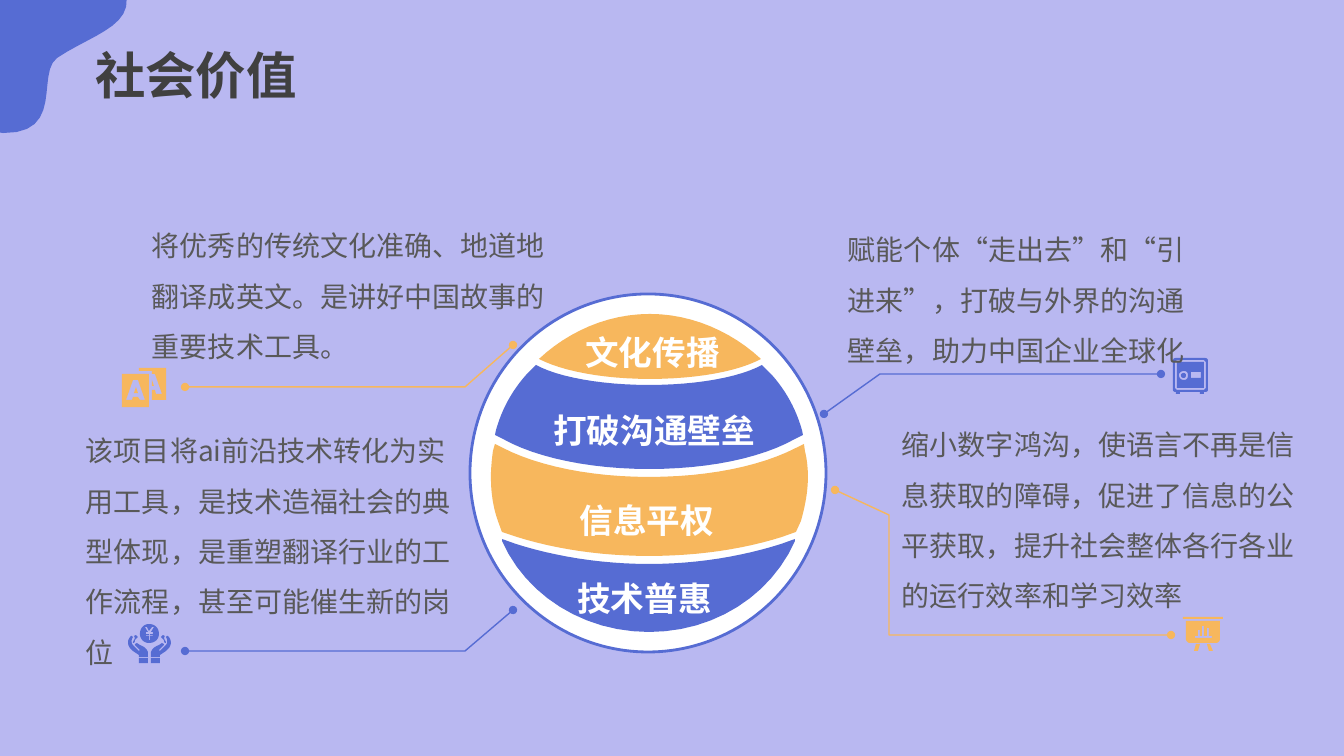
from lxml.etree import SubElement
from pptx import Presentation
from pptx.dml.color import RGBColor
from pptx.enum.lang import MSO_LANGUAGE_ID
from pptx.enum.shapes import MSO_SHAPE
from pptx.enum.text import MSO_ANCHOR, MSO_AUTO_SIZE, PP_ALIGN
from pptx.oxml.ns import qn
from pptx.util import Pt

# Content: boxes are left, top, width, height in px
FONT = "Noto Sans CJK SC"
COLORS = {"lilac": "B9B8F1", "blue": "566CD3", "amber": "F7B75D",
          "white": "FFFFFF", "title": "404040", "body": "595959"}
TITLE = ("社会价值", (95, 42, 280, 65))
NOTES = [
    ("赋能个体“走出去”和“引进来”，打破与外界的沟通壁垒，助力中国企业全球化",
     (838, 211, 370, 167)),
    ("缩小数字鸿沟，使语言不再是信息获取的障碍，促进了信息的公平获取，"
     "提升社会整体各行各业的运行效率和学习效率", (892, 406, 424, 171)),
    ("该项目将ai前沿技术转化为实用工具，是技术造福社会的典型体现，"
     "是重塑翻译行业的工作流程，甚至可能催生新的岗位", (76, 412, 398, 226)),
    ("将优秀的传统文化准确、地道地翻译成英文。是讲好中国故事的重要技术工具。",
     (142, 207, 423, 115)),
]
LABELS = [("文化传播", (565, 327, 175, 50)), ("打破沟通壁垒", (530, 405, 248, 50)),
          ("信息平权", (565, 495, 164, 50)), ("技术普惠", (565, 573, 159, 50))]
GLOBE = (470, 294, 356, 358)
LEADERS = [
    ("amber", "M 513 345 L 465 387 L 185 387"),
    ("blue", "M 824 414 L 880 374 L 1161 374"),
    ("amber", "M 835 490 L 889 515 L 889 635 L 1171 635"),
    ("blue", "M 513 610 L 465 651 L 185 651"),
]

# Outlines: M starts a contour, L is a line, C a cubic curve
CORNER = ("M -20 -5 C 12 -48 93 -72 120 -21 C 145 24 96 32 57 58 "
          "C 36 74 65 134 3 133 C -53 132 -51 37 -20 -5")
BANDS = [
    ("amber", "M 650 314 C 692 314 732 332 761 359 C 739 371 698 379 650 379 "
              "C 603 379 562 371 539 359 C 568 332 607 314 650 314"),
    ("blue", "M 762 365 L 772 375 C 786 391 796 409 802 430 L 803 435 L 795 439 "
             "C 761 458 709 469 649 469 C 591 469 537 458 503 439 L 495 435 L 496 430 "
             "C 502 409 512 391 526 375 L 536 365 C 558 377 601 385 649 385 "
             "C 698 385 740 377 762 365"),
    ("amber", "M 495 444 L 503 448 C 538 466 591 477 649 477 C 709 477 761 466 796 448 "
              "L 804 444 L 805 451 C 807 459 808 468 808 477 C 808 492 805 507 801 521 "
              "L 796 532 L 782 537 C 744 549 699 556 649 556 C 601 556 555 549 517 537 "
              "L 502 532 L 498 521 C 493 507 491 492 491 477 C 491 468 492 459 493 451"),
    ("blue", "M 795 539 L 795 541 C 771 595 715 632 649 632 C 583 632 526 595 502 541 "
             "L 502 539 L 516 544 C 554 556 600 564 649 564 C 698 564 743 556 781 544"),
]
TRANSLATE = ("M 136 387 L 138 393 L 134 393 M 133 380 L 126 400 L 132 400 L 133 397 "
             "L 138 397 L 140 400 L 145 400 L 138 380 M 152 380 L 154 386 L 152 386 "
             "M 122 374 L 149 374 L 149 407 L 122 407 M 139 368 L 166 368 L 166 400 "
             "L 152 400 L 152 390 L 155 390 L 156 394 L 162 394 L 155 374 L 152 374 "
             "L 152 371 L 139 371")
BOARD = ("M 1207 644 L 1210 644 L 1213 651 L 1209 651 "
         "M 1196 644 L 1200 644 L 1198 651 L 1194 651 "
         "M 1195 636 L 1198 636 L 1198 630 L 1200 630 L 1200 636 L 1202 636 L 1202 626 "
         "L 1204 626 L 1204 636 L 1207 636 L 1207 628 L 1209 628 L 1209 636 L 1212 636 "
         "L 1212 638 L 1195 638 M 1186 621 L 1220 621 L 1220 639 "
         "C 1220 641 1218 643 1216 643 L 1190 643 C 1188 643 1186 641 1186 639 "
         "M 1183 617 L 1223 617 L 1223 619 L 1183 619")
SAFE = ("M 1176 358 L 1205 358 C 1207 358 1208 359 1208 361 L 1208 390 "
        "C 1208 391 1207 392 1205 392 L 1204 392 L 1204 394 L 1200 394 L 1200 392 "
        "L 1180 392 L 1180 394 L 1176 394 L 1176 392 C 1174 392 1173 391 1173 390 "
        "L 1173 361 C 1173 359 1174 358 1176 358 "
        "M 1177 360 L 1204 360 L 1206 362 L 1206 388 L 1204 390 L 1177 390 L 1175 388 "
        "L 1175 362 M 1177 362 L 1204 362 L 1204 388 L 1177 388 "
        "M 1179 375 C 1179 373 1181 371 1184 371 C 1187 371 1188 373 1188 375 "
        "C 1188 378 1187 380 1184 380 C 1181 380 1179 378 1179 375 "
        "M 1181 375 C 1181 374 1182 373 1184 373 C 1185 373 1186 374 1186 375 "
        "C 1186 377 1185 378 1184 378 C 1182 378 1181 377 1181 375 "
        "M 1191 372 L 1201 372 L 1201 378 L 1191 378")
COIN = ("M 140 634 C 140 628 144 624 149 624 C 155 624 159 628 159 634 "
        "C 159 639 155 643 149 643 C 144 643 140 639 140 634 "
        "M 145 627 L 147 627 L 149 631 L 152 627 L 154 627 L 151 632 L 153 632 L 153 634 "
        "L 150 634 L 150 635 L 153 635 L 153 636 L 150 636 L 150 640 L 149 640 L 149 636 "
        "L 146 636 L 146 635 L 149 635 L 149 634 L 146 634 L 146 632 L 148 632")
HAND = ("M 139 658 L 148 658 L 148 663 L 139 663 "
        "M 132 636 L 133 637 C 130 642 133 645 133 645 L 139 651 L 140 650 L 135 645 "
        "L 135 644 L 137 643 L 140 645 C 142 646 146 647 148 652 L 148 657 L 139 657 "
        "L 139 655 L 133 651 L 130 648 C 130 648 125 642 131 636 "
        "M 136 635 L 138 637 L 135 640 C 135 641 135 643 133 643 "
        "C 133 642 133 642 134 640 C 135 639 135 637 134 636")
HANDS_AXIS = 149

EMU = 12192000 / 1344
CURVE_STEPS = 12


def px(*values):
    return [round(value * EMU) for value in values]


def color(name):
    return RGBColor.from_string(COLORS[name])


def contours(outline):
    """Turn an outline into lists of points, with curves sampled evenly."""
    found = []
    for part in outline.replace("M", "|M").replace("L", "|L").replace("C", "|C").split("|")[1:]:
        kind, *numbers = part.split()
        points = list(zip(map(int, numbers[::2]), map(int, numbers[1::2])))
        if kind == "M":
            found.append(points)
        elif kind == "L":
            found[-1] += points
        else:
            corners = [found[-1][-1]] + points
            for step in range(1, CURVE_STEPS + 1):
                t = step / CURVE_STEPS
                weights = ((1 - t) ** 3, 3 * t * (1 - t) ** 2, 3 * t * t * (1 - t), t ** 3)
                found[-1].append(tuple(sum(w * corner[axis] for w, corner in zip(weights, corners))
                                       for axis in (0, 1)))
    return found


def draw(lines, close=True):
    builder = page.shapes.build_freeform(*px(*lines[0][0]))
    for index, points in enumerate(lines):
        if index:
            builder.move_to(*px(*points[0]))
        builder.add_line_segments([px(*point) for point in points[1:]], close=close)
    shape = builder.convert_to_shape()
    shape.shadow.inherit = False
    return shape


def paint(shape, name):
    shape.fill.solid()
    shape.fill.fore_color.rgb = color(name)
    shape.line.fill.background()


def write(box, text, name, size, bold=False, align=PP_ALIGN.LEFT, spacing=1.0):
    frame = box.text_frame
    frame.word_wrap = True
    para = frame.paragraphs[0]
    para.alignment, para.line_spacing = align, spacing
    span = para.add_run()
    span.text = text
    span.font.color.rgb = color(name)
    formats = {"size": Pt(size), "bold": bold, "name": FONT,
               "language_id": MSO_LANGUAGE_ID.SIMPLIFIED_CHINESE}
    for key, value in formats.items():
        setattr(span.font, key, value)
    SubElement(span.font._element, qn("a:ea")).set("typeface", FONT)


deck = Presentation()
deck.slide_width, deck.slide_height = px(1344, 756)
page = deck.slides.add_slide(deck.slide_layouts[5])
page.background.fill.solid()
page.background.fill.fore_color.rgb = color("lilac")

# Corner and title
paint(draw(contours(CORNER)), "blue")
title = page.shapes.title
title.left, title.top, title.width, title.height = px(*TITLE[1])
for side in ("left", "top", "right", "bottom"):
    setattr(title.text_frame, f"margin_{side}", 0)
title.text_frame.vertical_anchor = MSO_ANCHOR.MIDDLE
title.text_frame.auto_size = MSO_AUTO_SIZE.NONE
write(title, TITLE[0], "title", 36, True, PP_ALIGN.JUSTIFY)

# Leader lines with round ends
for name, outline in LEADERS:
    leader = draw(contours(outline), close=False)
    leader.fill.background()
    leader.line.color.rgb = color(name)
    leader.line.width = Pt(1)
    for end in ("a:headEnd", "a:tailEnd"):
        SubElement(leader.line._get_or_add_ln(), qn(end)).set("type", "oval")

# Globe and its bands
globe = page.shapes.add_shape(MSO_SHAPE.OVAL, *px(*GLOBE))
globe.shadow.inherit = False
paint(globe, "white")
globe.line.color.rgb = color("blue")
globe.line.width = Pt(2)
for name, outline in BANDS:
    paint(draw(contours(outline)), name)

# Icons
left_hand = contours(HAND)
right_hand = [[(2 * HANDS_AXIS - x + 1, y) for x, y in points] for points in left_hand]
for name, lines in (("amber", contours(TRANSLATE)), ("amber", contours(BOARD)),
                    ("blue", contours(SAFE)), ("blue", contours(COIN) + left_hand + right_hand)):
    paint(draw(lines), name)

# Band labels and notes
for text, place in LABELS:
    label = page.shapes.add_textbox(*px(*place))
    write(label, text, "white", 24, True, PP_ALIGN.CENTER)
    label.text_frame.auto_size = MSO_AUTO_SIZE.SHAPE_TO_FIT_TEXT
for text, place in NOTES:
    write(page.shapes.add_textbox(*px(*place)), text, "body", 20, spacing=1.5)

deck.save("out.pptx")
